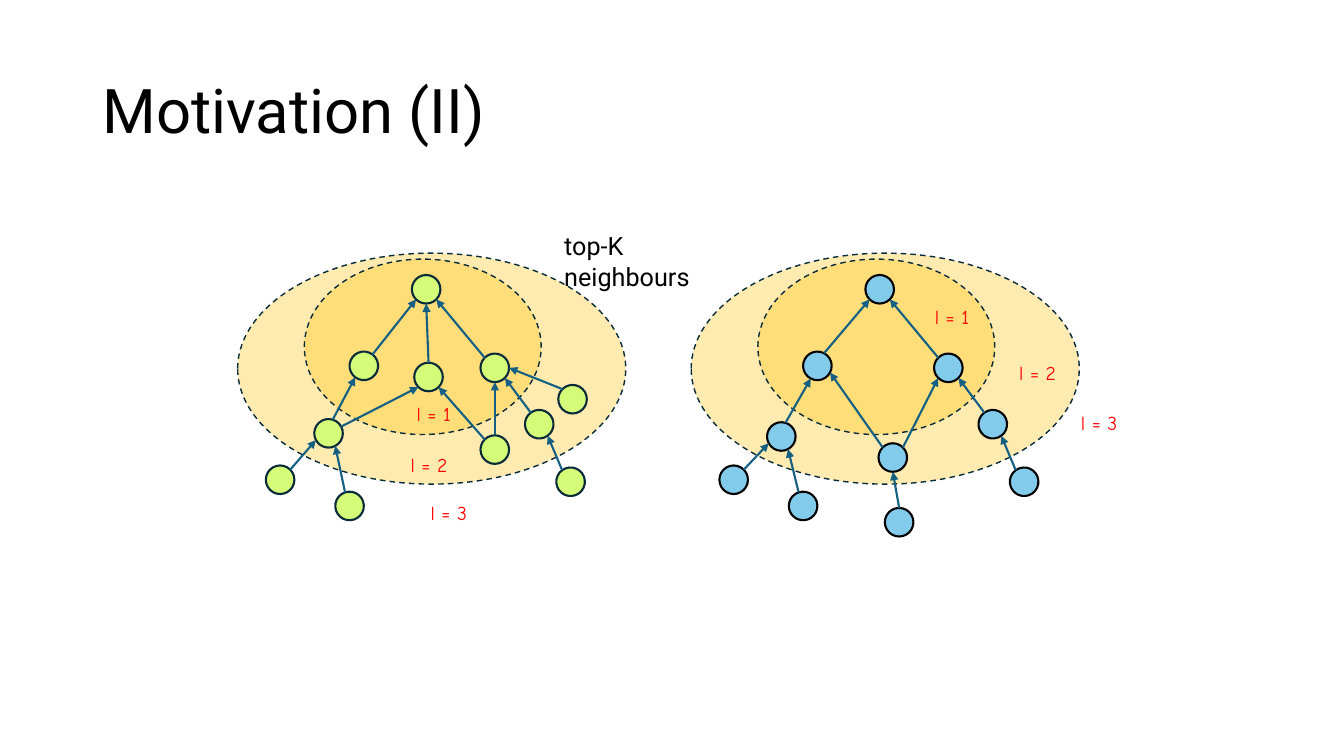
from math import cos, radians, sin

from lxml import etree
from pptx import Presentation
from pptx.dml.color import RGBColor
from pptx.enum.dml import MSO_LINE_DASH_STYLE as Dash
from pptx.enum.shapes import MSO_CONNECTOR as Connector, MSO_SHAPE as Shape
from pptx.enum.text import MSO_ANCHOR as Anchor, PP_ALIGN as Align
from pptx.oxml.ns import qn
from pptx.util import Cm, Pt

BLACK = RGBColor(0x00, 0x00, 0x00)
RED = RGBColor(0xFF, 0x00, 0x00)
GOLD = RGBColor(0xFF, 0xC0, 0x00)
LIME = RGBColor(0xD5, 0xFC, 0x79)
SKY = RGBColor(0x83, 0xCB, 0xEB)
NAVY = RGBColor(0x09, 0x2A, 0x39)
TEAL = RGBColor(0x15, 0x60, 0x82)

RADIUS = 0.36  # node radius in cm
TREE_SHIFT = 11.43  # distance between the two trees in cm

# Neighbourhood ellipses: left, top, width, height
HOPS = [(5.99, 6.38, 9.78, 5.82), (7.67, 6.53, 5.97, 4.42)]

# Nodes: centre x, centre y, rotation
SHARED_NODES = {
    "root": (10.74, 7.29, 0),
    "c": (12.47, 9.27, 0),
    "e": (13.59, 10.69, 8.8),
    "f": (7.06, 12.09, 0),
    "g": (8.81, 12.75, 26.7),
    "h": (14.38, 12.14, 8.8),
}
LEFT_NODES = SHARED_NODES | {
    "a": (9.17, 9.22, -7.8),
    "b": (10.8, 9.5, 0),
    "d": (8.28, 10.92, 17),
    "i": (14.43, 10.06, 0),
    "j": (12.47, 11.33, 0),
}
RIGHT_NODES = SHARED_NODES | {
    "a": (9.17, 9.22, -17.3),
    "d": (8.26, 11.0, 17),
    "j": (11.07, 11.53, 0),
    "k": (11.23, 13.16, 0),
}

# Edges: child, its site, parent, its site (sites 0-7 anticlockwise from the top)
SHARED_EDGES = [
    ("a", 7, "root", 3), ("c", 1, "root", 5), ("d", 0, "a", 3), ("f", 7, "d", 3),
    ("g", 1, "d", 5), ("e", 1, "c", 5), ("h", 1, "e", 5),
]
LEFT_EDGES = SHARED_EDGES + [
    ("b", 0, "root", 4), ("i", 1, "c", 6), ("j", 0, "c", 4),
    ("j", 1, "b", 5), ("d", 7, "b", 3),
]
RIGHT_EDGES = SHARED_EDGES + [("j", 1, "a", 5), ("j", 7, "c", 3), ("k", 0, "j", 4)]

# Places of the labels l = 1, 2, 3
LEFT_LABELS = [(9.75, 10.01), (9.63, 11.3), (10.13, 12.5)]
RIGHT_LABELS = [(11.38, 7.57), (13.54, 8.97), (15.09, 10.24)]


def write(frame, text, font="Roboto", size=18, color=BLACK, align=Align.LEFT, spacing=1.0):
    para = frame.paragraphs[0]
    para.alignment = align
    para.line_spacing = spacing
    span = para.add_run()
    span.text = text
    span.font.name = font
    span.font.size = Pt(size)
    span.font.color.rgb = color


def site_point(node, site):
    x, y, rotation = node
    angle = radians(rotation - 45 * site)
    return x + RADIUS * sin(angle), y - RADIUS * cos(angle)


class GraphSlide:
    def __init__(self, deck):
        self.page = deck.slides.add_slide(deck.slide_layouts[5])

    def title(self, text):
        box = self.page.shapes.title
        box.left, box.top, box.width, box.height = Cm(2.33), Cm(1.01), Cm(29.21), Cm(3.68)
        box.text_frame.vertical_anchor = Anchor.MIDDLE
        write(box.text_frame, text, size=44, spacing=0.9)

    def text(self, text, left, top, width, height, **style):
        box = self.page.shapes.add_textbox(Cm(left), Cm(top), Cm(width), Cm(height))
        box.text_frame.word_wrap = True
        write(box.text_frame, text, **style)

    def ellipse(self, left, top, width, height, fill, line, weight):
        oval = self.page.shapes.add_shape(
            Shape.OVAL, Cm(left), Cm(top), Cm(width), Cm(height))
        oval.shadow.inherit = False
        oval.fill.solid()
        oval.fill.fore_color.rgb = fill
        oval.line.color.rgb = line
        oval.line.width = Pt(weight)
        return oval

    def hop(self, left, top, width, height):
        oval = self.ellipse(left, top, width, height, GOLD, NAVY, 1)
        oval.line.dash_style = Dash.DASH
        color = oval._element.spPr.find(qn("a:solidFill"))[0]
        etree.SubElement(color, qn("a:alpha")).set("val", "31000")

    def node(self, x, y, rotation, fill, line):
        size = 2 * RADIUS
        oval = self.ellipse(x - RADIUS, y - RADIUS, size, size, fill, line, 1.5)
        oval.rotation = rotation

    def arrow(self, start, end):
        link = self.page.shapes.add_connector(
            Connector.STRAIGHT, *(Cm(value) for value in (*start, *end)))
        link.line.color.rgb = TEAL
        link.line.width = Pt(1.5)
        outline = link.line._get_or_add_ln()
        etree.SubElement(outline, qn("a:tailEnd")).set("type", "triangle")
        etree.SubElement(link._element.spPr, qn("a:effectLst"))

    def tree(self, shift, nodes, edges, labels, fill, line):
        for left, top, width, height in HOPS:
            self.hop(left + shift, top, width, height)
        placed = {name: (x + shift, y, turn) for name, (x, y, turn) in nodes.items()}
        for place in placed.values():
            self.node(*place, fill, line)
        for child, child_site, parent, parent_site in edges:
            self.arrow(site_point(placed[child], child_site),
                       site_point(placed[parent], parent_site))
        for level, (left, top) in enumerate(labels, 1):
            self.text(f"l = {level}", left + shift, top, 2.36, 0.86,
                      font="Comic Neue", size=14, color=RED, align=Align.CENTER)


def main():
    deck = Presentation()
    deck.slide_width, deck.slide_height = Cm(33.87), Cm(19.05)
    slide = GraphSlide(deck)

    # Heading
    slide.title("Motivation (II)")

    # Two neighbourhood trees
    slide.tree(0, LEFT_NODES, LEFT_EDGES, LEFT_LABELS, LIME, NAVY)
    slide.tree(TREE_SHIFT, RIGHT_NODES, RIGHT_EDGES, RIGHT_LABELS, SKY, BLACK)

    # Caption
    slide.text("top-K neighbours", 13.97, 5.69, 5.08, 1.02)

    deck.save("out.pptx")


if __name__ == "__main__":
    main()
